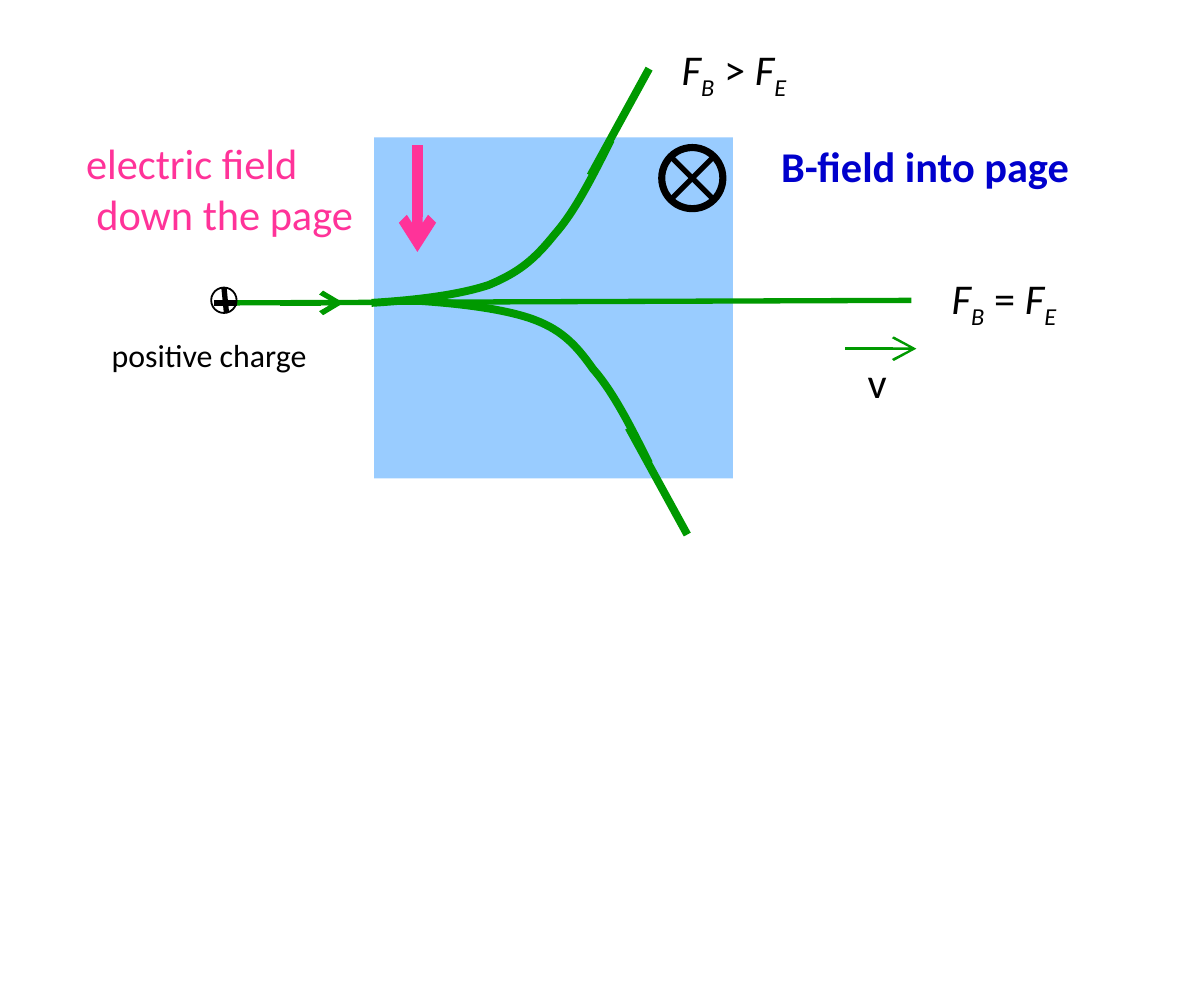
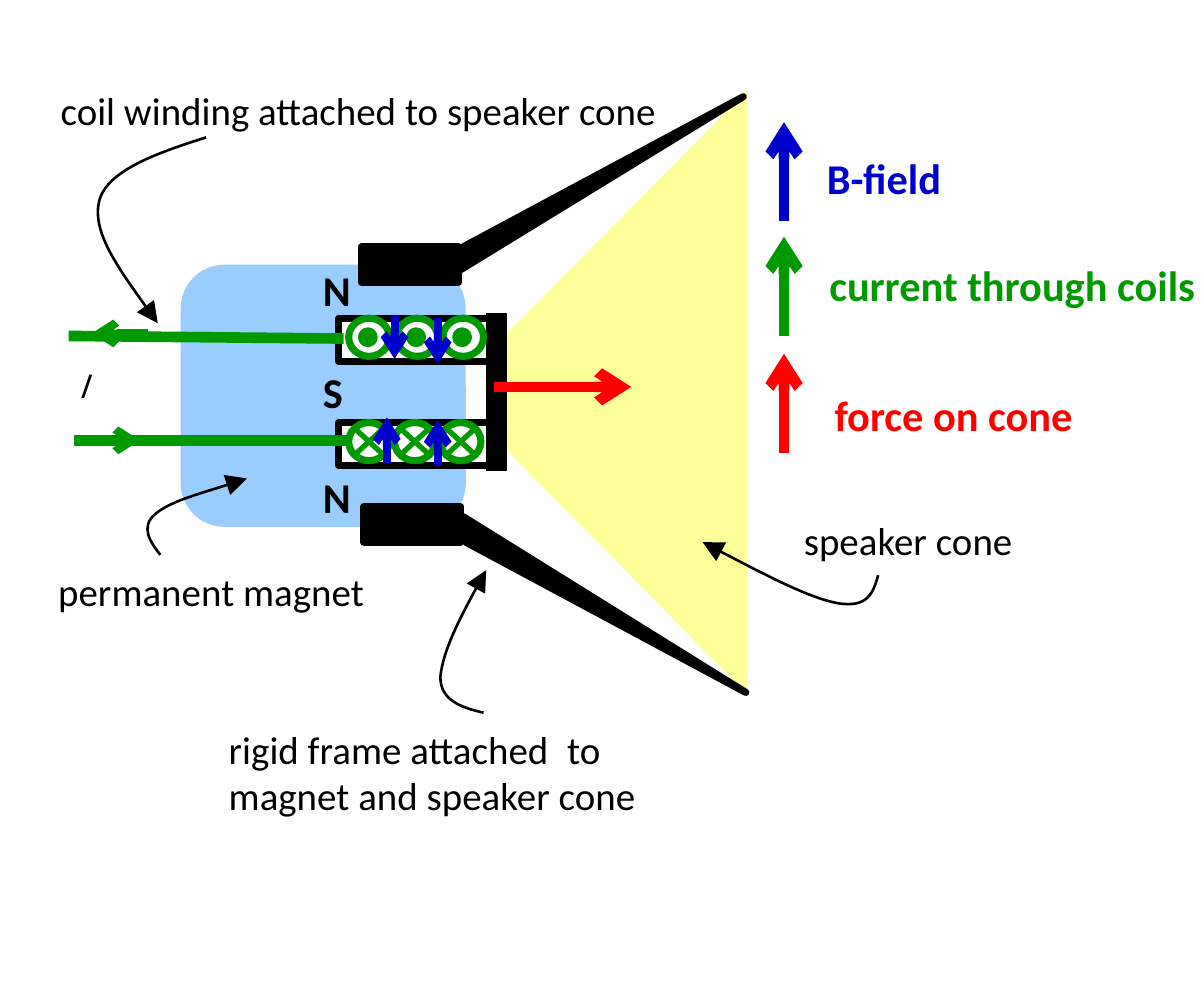
"""Draw two physics figures: a velocity selector and a speaker in section."""
import dataclasses

import lxml.etree
import pptx
import pptx.dml.color
import pptx.enum.shapes
import pptx.enum.text
import pptx.oxml.ns
import pptx.util

SCALE = 9144
SHAPE = pptx.enum.shapes.MSO_SHAPE


@dataclasses.dataclass(frozen=True)
class Theme:
    font: str = "Calibri"
    symbol: str = "Noto Sans CJK KR"
    large: int = 12
    note: int = 11
    small: int = 9
    black: str = "000000"
    white: str = "FFFFFF"
    sky: str = "99CCFF"
    cone: str = "FFFF99"
    green: str = "009900"
    blue: str = "0000CC"
    pink: str = "FF3399"
    red: str = "FF0000"


def px(*sizes):
    return [pptx.util.Emu(round(size * SCALE)) for size in sizes]


def rgb(hue):
    return pptx.dml.color.RGBColor.from_string(hue)


def add(parent, tag, **traits):
    return lxml.etree.SubElement(parent, pptx.oxml.ns.qn(tag), **traits)


class Sketch:
    def __init__(self, theme):
        self.theme = theme
        self.deck = pptx.Presentation()
        self.deck.slide_width, self.deck.slide_height = px(473, 394)

    def start(self):
        self.slide = self.deck.slides.add_slide(self.deck.slide_layouts[6])
        self.shapes = self.slide.shapes

    def paint(self, shape, fill=None, line=None, width=0):
        shape.shadow.inherit = False
        if fill:
            shape.fill.solid()
            shape.fill.fore_color.rgb = rgb(fill)
        else:
            shape.fill.background()
        if line:
            self.stroke(shape, line, width)
        else:
            shape.line.fill.background()
        return shape

    def stroke(self, shape, hue, width, head=None):
        shape.line.color.rgb = rgb(hue)
        shape.line.width = pptx.util.Pt(width)
        if head:
            add(shape.line._get_or_add_ln(), "a:tailEnd", type=head)

    def shape(self, kind, box, fill, line=None, width=2):
        return self.paint(self.shapes.add_shape(kind, *px(*box)), fill, line, width)

    def line(self, x1, y1, x2, y2, hue, width, head=None):
        kind = pptx.enum.shapes.MSO_CONNECTOR.STRAIGHT
        line = self.shapes.add_connector(kind, *px(x1, y1, x2, y2))
        self.stroke(line, hue, width, head)
        add(line._element.spPr, "a:effectLst")

    def arrow(self, x1, y1, x2, y2, hue, width):
        self.line(x1, y1, x2, y2, hue, width, "arrow")

    def outline(self, points, close):
        first, *rest = [px(*point) for point in points]
        pen = self.shapes.build_freeform(*first)
        pen.add_line_segments(rest, close=close)
        return pen.convert_to_shape()

    def solid(self, *points):
        shape = self.outline(points, True)
        self.paint(shape, self.theme.black, self.theme.black, 2)

    def curve(self, points, hue, width, head=None):
        shape = self.paint(self.outline(points, False))
        self.stroke(shape, hue, width, head)
        legs = list(shape._element.iter(pptx.oxml.ns.qn("a:lnTo")))
        for first in range(0, len(legs), 3):
            bend = add(legs[first].getparent(), "a:cubicBezTo")
            for leg in legs[first:first + 3]:
                bend.append(leg[0])
                leg.getparent().remove(leg)

    def lead(self, *points):
        self.curve(points, self.theme.black, 0.75, "triangle")

    def cross(self, x, y, wide, high, fill, hue):
        self.shape(SHAPE.OVAL, (x, y, wide, high), fill, hue)
        gap = round(wide * 0.15)
        left, right = x + gap, x + wide - gap
        top, base = y + gap, y + high - gap
        self.line(right, top, left, base, hue, 1.5)
        self.line(right, base, left, top, hue, 1.5)

    def dot(self, x, y):
        green = self.theme.green
        self.shape(SHAPE.OVAL, (x, y, 16, 15), self.theme.white, green)
        self.shape(SHAPE.OVAL, (x + 5, y + 5, 5, 5), green, green)

    def text(self, box, lines, size, hue=None, bold=False, font=None,
             shift=0, stop=0):
        frame = self.shapes.add_textbox(*px(*box)).text_frame
        frame.word_wrap = False
        frame.auto_size = pptx.enum.text.MSO_AUTO_SIZE.SHAPE_TO_FIT_TEXT
        for index, pieces in enumerate(lines):
            para = frame.add_paragraph() if index else frame.paragraphs[0]
            traits = para._p.get_or_add_pPr()
            if index and shift:
                traits.set("marL", str(px(shift)[0]))
            if stop:
                tabs = add(traits, "a:tabLst")
                add(tabs, "a:tab", pos=str(px(stop)[0]), algn="l")
            para.font.name = font or self.theme.font
            para.font.size = pptx.util.Pt(size)
            para.font.bold = bold
            para.font.color.rgb = rgb(hue or self.theme.black)
            if isinstance(pieces, str):
                pieces = [(pieces, False, 0)]
            for words, slant, base in pieces:
                run = para.add_run()
                run.text = words
                if slant:
                    run.font.italic = True
                if base:
                    run._r.get_or_add_rPr().set("baseline", str(base * 1000))

    def force(self, x, y, sign):
        pieces = [("F", True, 0), ("B", True, -25), (f" {sign} ", False, 0),
                  ("F", True, 0), ("E", True, -25)]
        self.text((x, y, 63, 30), [pieces], self.theme.large)


def draw_field(art):
    look = art.theme
    green, black = look.green, look.black
    art.start()
    art.shape(SHAPE.RECTANGLE, (147, 54, 141, 134), look.sky)
    art.cross(260, 58, 24, 24, look.sky, black)
    art.line(92, 119, 358, 118, green, 1.5)
    art.arrow(110, 119, 135, 119, green, 1.5)
    art.text((297, 50, 135, 30), ["B-field into page"], look.large, look.blue, True)
    art.shape(SHAPE.OVAL, (83, 113, 10, 10), look.white, black, 0.5)
    art.line(84, 119, 93, 119, black, 1.5)
    art.line(89, 123, 88, 113, black, 1.5)
    art.text((34, 127, 98, 25), ["positive charge"], look.small)
    art.curve([(146, 119), (163, 118), (180, 116), (192, 112),
               (204, 107), (210, 102), (218, 92),
               (226, 83), (233, 69), (240, 55)], green, 2.25)
    art.line(232, 69, 255, 27, green, 2.25)
    art.curve([(161, 118), (178, 119), (196, 121), (208, 125),
               (220, 129), (226, 135), (233, 145),
               (241, 154), (248, 168), (255, 182)], green, 2.25)
    art.line(247, 168, 270, 210, green, 2.25)
    art.arrow(164, 57, 164, 99, look.pink, 3)
    art.text((24, 49, 126, 50), ["electric field", "down the page"],
             look.large, look.pink, shift=4)
    art.arrow(332, 137, 360, 137, green, 0.75)
    art.text((331, 135, 28, 30), ["v"], look.large)
    art.force(364, 102, "=")
    art.force(258, 12, ">")


def draw_speaker(art):
    look = art.theme
    green, blue, black = look.green, look.blue, look.black
    art.start()
    cone = art.shape(SHAPE.TRAPEZOID, (127, 106, 237, 96), look.cone)
    cone.adjustments[0] = 1.013
    cone.rotation = 270
    art.shape(SHAPE.ROUNDED_RECTANGLE, (71, 104, 112, 103), look.sky)
    for top in (125, 166):
        art.shape(SHAPE.RECTANGLE, (133, top, 61, 17), look.white, black)
    art.line(195, 123, 195, 185, black, 6)
    art.solid((183, 213), (293, 272), (182, 203))
    art.shape(SHAPE.RECTANGLE, (143, 199, 38, 14), black, black)
    art.solid((182, 97), (292, 38), (181, 106))
    art.shape(SHAPE.RECTANGLE, (142, 97, 38, 14), black, black)
    for x in (137, 155, 173):
        art.cross(x, 166, 16, 15, look.white, green)
    for x in (156, 137, 174):
        art.dot(x, 125)
    art.line(135, 133, 27, 132, green, 3)
    art.line(137, 173, 29, 173, green, 3)
    art.arrow(34, 173, 55, 173, green, 2.25)
    art.arrow(58, 131, 36, 131, green, 2.25)
    art.text((21, 139, 24, 25), [[("I", True, 0)]], look.small, font=look.symbol)
    for pole, top, wide in (("S", 139, 28), ("N", 99, 31), ("N", 180, 31)):
        art.text((117, top, wide, 30), [pole], look.large, bold=True)
    for x, tail, tip in ((152, 182, 164), (172, 183, 165),
                         (155, 124, 141), (172, 125, 143)):
        art.arrow(x, tail, x, tip, blue, 2.25)
    art.arrow(194, 152, 248, 152, look.red, 3)
    for words, hue, tip, box in (
            ("B-field", blue, 48, (315, 55, 66, 30)),
            ("current through coils", green, 93, (316, 97, 166, 30)),
            ("force on cone", look.red, 139, (318, 148, 115, 30))):
        art.arrow(308, tip + 39, 308, tip, hue, 3)
        art.text(box, [words], look.large, hue, True)
    for box, lines, stop in (
            ((14, 29, 257, 29), ["coil winding attached to speaker cone"], 0),
            ((13, 218, 141, 29), ["permanent magnet"], 0),
            ((306, 198, 103, 29), ["speaker cone"], 0),
            ((80, 280, 181, 47),
             ["rigid frame attached\tto", "magnet and speaker cone"], 133)):
        art.text(box, lines, look.note, stop=stop)
    art.lead((81, 54), (62, 60), (42, 67), (39, 79),
             (36, 91), (49, 109), (62, 127))
    art.lead((63, 218), (59, 213), (55, 207), (61, 202),
             (67, 197), (82, 193), (97, 188))
    art.lead((345, 226), (343, 233), (341, 239), (329, 237),
             (318, 235), (297, 224), (276, 213))
    art.lead((190, 280), (181, 278), (173, 275), (173, 266),
             (174, 256), (182, 240), (191, 224))


def main():
    art = Sketch(Theme())
    draw_field(art)
    draw_speaker(art)
    art.deck.save("out.pptx")


if __name__ == "__main__":
    main()
